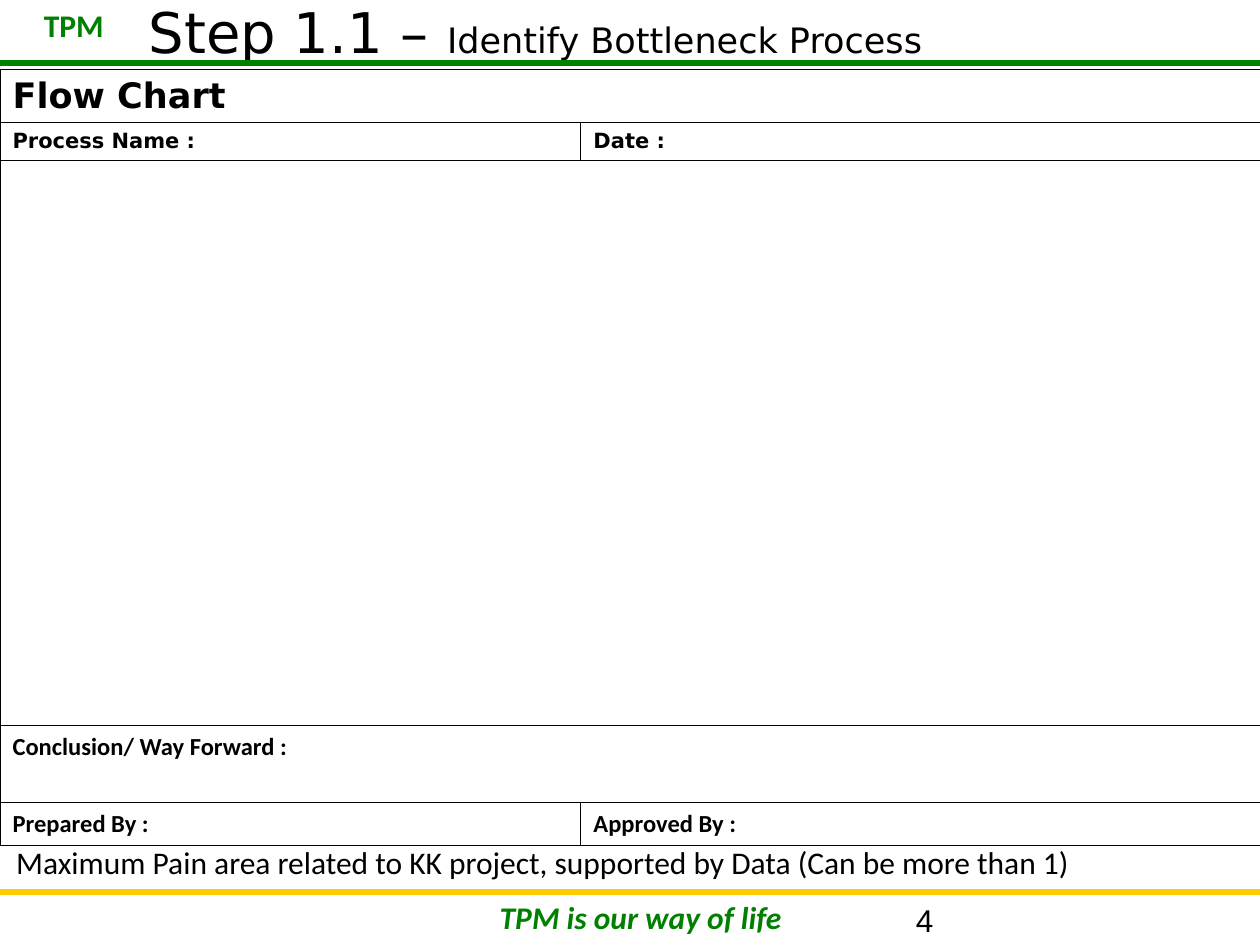
from lxml import etree
from pptx import Presentation
from pptx.dml.color import RGBColor
from pptx.enum.shapes import MSO_CONNECTOR
from pptx.enum.text import MSO_ANCHOR, MSO_AUTO_SIZE, PP_ALIGN
from pptx.oxml.ns import qn
from pptx.util import Inches, Pt

LINE = MSO_CONNECTOR.STRAIGHT
MID = MSO_ANCHOR.MIDDLE
GROW = MSO_AUTO_SIZE.SHAPE_TO_FIT_TEXT
LEFT, CENTER = PP_ALIGN.LEFT, PP_ALIGN.CENTER
BLACK, GREEN, GOLD = "000000", "008000", "FFCC00"


def color(code):
    return RGBColor.from_string(code)


def write(par, text, size, face, code=BLACK, **style):
    run = par.add_run()
    run.text = text
    look = {"size": Pt(size), "name": face, **style}
    for key, value in look.items():
        setattr(run.font, key, value)
    run.font.color.rgb = color(code)


prs = Presentation()
prs.slide_width, prs.slide_height = Inches(10), Inches(7.5)
slide = prs.slides.add_slide(prs.slide_layouts[5])

# Header and footer rules
for y, code in ((7.08, GOLD), (0.5, GREEN)):
    rule = slide.shapes.add_connector(LINE, 0, Inches(y), Inches(10), Inches(y))
    rule.line.color.rgb = color(code)
    rule.line.width = Pt(3)
    etree.SubElement(rule._element.spPr, qn("a:effectLst"))

# Title
title = slide.shapes.title
title.left, title.top = Inches(1.08), Inches(0)
title.width, title.height = Inches(8.92), Inches(0.5)
title.text_frame.vertical_anchor = MID
par = title.text_frame.paragraphs[0]
par.alignment = LEFT
write(par, "Step 1.1 – ", 32, "DejaVu Sans")
write(par, "Identify Bottleneck Process", 20, "DejaVu Sans")

# Form table: one text spans the row, two texts split it
rows = [
    (0.33, ["Flow Chart"], 20, "DejaVu Sans"),
    (0.24, ["Process Name :", "Date :"], 12, "DejaVu Sans"),
    (4.49, [""], 12, "DejaVu Sans"),
    (0.61, ["Conclusion/ Way Forward :"], 14, "Calibri"),
    (0.27, ["Prepared By :", "Approved By :"], 14, "Calibri"),
]
form = slide.shapes.add_table(
    len(rows), 2, 0, Inches(0.55), Inches(10), Inches(5.96)).table
form.first_row = form.horz_banding = False
for col, width in zip(form.columns, (4.61, 5.39)):
    col.width = Inches(width)
for r, (height, texts, size, face) in enumerate(rows):
    form.rows[r].height = Inches(height)
    if len(texts) == 1:
        form.cell(r, 0).merge(form.cell(r, 1))
    for c, text in enumerate(texts):
        if text:
            write(form.cell(r, c).text_frame.paragraphs[0], text, size, face,
                  bold=True)

# Cell borders, with no fill
for cell in form.iter_cells():
    cell.fill.background()
    props = cell._tc.get_or_add_tcPr()
    for i, side in enumerate(("lnL", "lnR", "lnT", "lnB")):
        edge = etree.Element(qn("a:" + side), w=str(Pt(0.45)))
        fill = etree.SubElement(edge, qn("a:solidFill"))
        etree.SubElement(fill, qn("a:srgbClr"), val=BLACK)
        props.insert(i, edge)

# Labels, slide number and note
labels = [
    ("TPM is our way of life", (2.5, 7.08, 5.17, 0.4), True, CENTER,
     {"face": "Calibri", "code": GREEN, "bold": True, "italic": True}),
    ("TPM", (0.25, 0, 0.7, 0.4), False, LEFT,
     {"face": "Calibri", "code": GREEN, "bold": True}),
    ("4", (7.17, 7.1, 2.33, 0.4), True, LEFT, {"face": "Arial"}),
    ("Maximum Pain area related to KK project, supported by Data "
     "(Can be more than 1)", (0.03, 6.64, 8.6, 0.4), False, LEFT,
     {"face": "Calibri"}),
]
for text, place, wrap, align, style in labels:
    box = slide.shapes.add_textbox(*map(Inches, place))
    box.text_frame.word_wrap = wrap
    box.text_frame.auto_size = GROW
    par = box.text_frame.paragraphs[0]
    par.alignment = align
    write(par, text, 18, **style)

prs.save("out.pptx")
